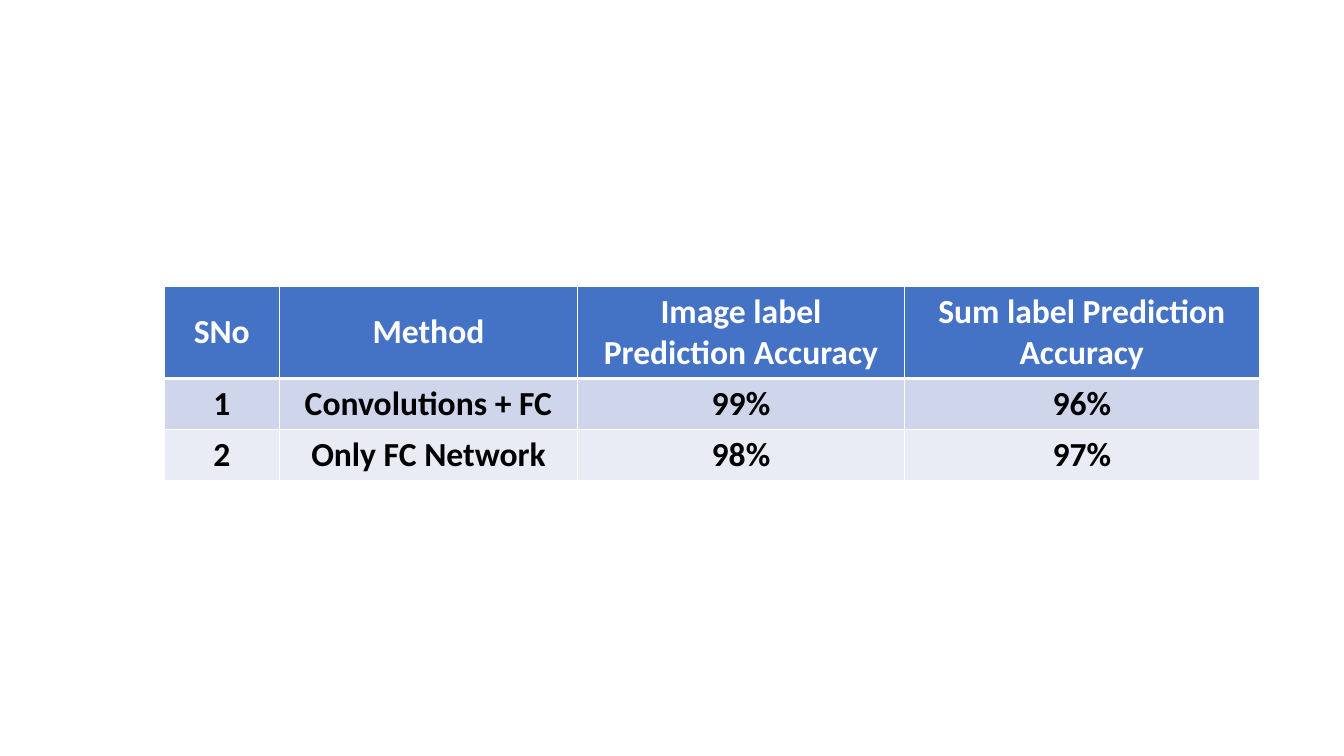
from dataclasses import dataclass

from lxml import etree
from pptx import Presentation
from pptx.dml.color import RGBColor
from pptx.enum.text import MSO_ANCHOR, PP_ALIGN
from pptx.oxml.ns import qn
from pptx.table import _Cell
from pptx.util import Inches, Pt

MIDDLE = MSO_ANCHOR.MIDDLE
CENTER = PP_ALIGN.CENTER
WIDE, HIGH = 13.33, 7.5
LEFT, TOP = 1.63, 2.84
COLS = (1.14, 2.96, 3.24, 3.52)
HEAD_ROW, BODY_ROW = 0.9, 0.5


@dataclass(frozen=True)
class Theme:
    font: str = "Calibri"
    size: int = 24
    rule: str = "FFFFFF"
    thin: int = 1
    thick: int = 3


@dataclass(frozen=True)
class Style:
    fill: str
    ink: str


@dataclass(frozen=True)
class Row:
    texts: tuple[str, ...]
    style: Style
    high: float = BODY_ROW


THEME = Theme()
HEAD = Style("4472C4", "FFFFFF")
ODD = Style("CFD5EA", "000000")
EVEN = Style("E9EBF5", "000000")
ROWS = (
    Row(("SNo", "Method", "Image label Prediction Accuracy",
         "Sum label Prediction Accuracy"), HEAD, HEAD_ROW),
    Row(("1", "Convolutions + FC", "99%", "96%"), ODD),
    Row(("2", "Only FC Network", "98%", "97%"), EVEN),
)


def add_edge(cell: _Cell, side: str, width: int) -> None:
    props = cell._tc.get_or_add_tcPr()
    line = etree.SubElement(props, qn(f"a:ln{side}"), w=str(Pt(width)))
    fill = etree.SubElement(line, qn("a:solidFill"))
    etree.SubElement(fill, qn("a:srgbClr"), val=THEME.rule)


def fill_cell(cell: _Cell, text: str, style: Style, top: int, base: int) -> None:
    """Write and style one cell; top and base are its rule widths in points."""
    cell.text = text
    cell.vertical_anchor = MIDDLE
    for side, width in zip("LRTB", (THEME.thin, THEME.thin, top, base)):
        add_edge(cell, side, width)
    cell.fill.solid()
    cell.fill.fore_color.rgb = RGBColor.from_string(style.fill)
    para = cell.text_frame.paragraphs[0]
    para.alignment = CENTER
    para.font.name = THEME.font
    para.font.size = Pt(THEME.size)
    para.font.bold = True
    para.font.color.rgb = RGBColor.from_string(style.ink)


def main() -> None:
    deck = Presentation()
    deck.slide_width, deck.slide_height = Inches(WIDE), Inches(HIGH)
    slide = deck.slides.add_slide(deck.slide_layouts[6])
    high = sum(row.high for row in ROWS)
    table = slide.shapes.add_table(
        len(ROWS), len(COLS), Inches(LEFT), Inches(TOP),
        Inches(sum(COLS)), Inches(high)).table
    for col, width in zip(table.columns, COLS):
        col.width = Inches(width)
    for r, row in enumerate(ROWS):
        table.rows[r].height = Inches(row.high)
        top = THEME.thick if r == 1 else THEME.thin
        base = THEME.thick if r == 0 else THEME.thin
        for c, text in enumerate(row.texts):
            fill_cell(table.cell(r, c), text, row.style, top, base)
    deck.save("out.pptx")


if __name__ == "__main__":
    main()
